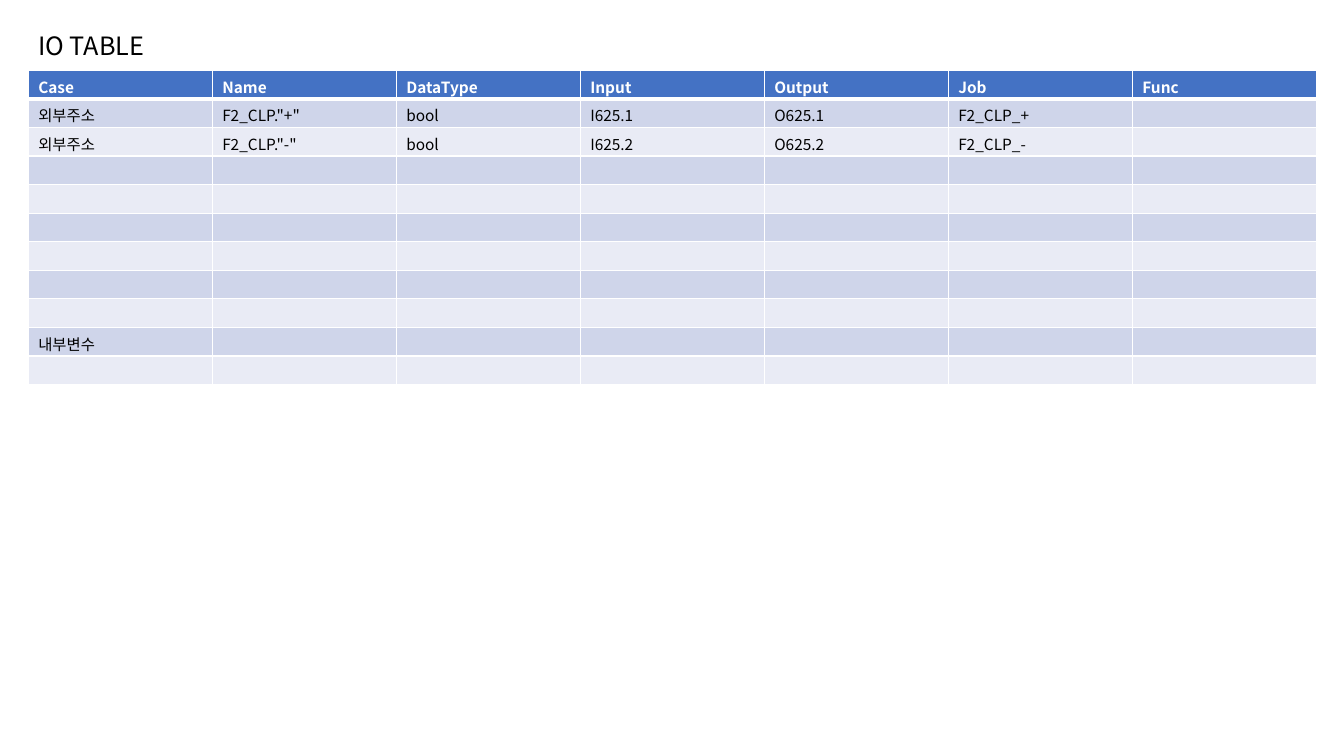
from lxml import etree
from pptx import Presentation
from pptx.dml.color import RGBColor
from pptx.enum.text import MSO_ANCHOR, MSO_AUTO_SIZE, PP_ALIGN
from pptx.oxml.ns import qn
from pptx.util import Cm, Pt

TOP, LEFT = MSO_ANCHOR.TOP, PP_ALIGN.LEFT
NO_AUTOFIT = MSO_AUTO_SIZE.NONE

# Content
TITLE = "IO TABLE"
HEADERS = ["Case", "Name", "DataType", "Input", "Output", "Job", "Func"]
ROWS = [
    ["외부주소", 'F2_CLP."+"', "bool", "I625.1", "O625.1", "F2_CLP_+"],
    ["외부주소", 'F2_CLP."-"', "bool", "I625.2", "O625.2", "F2_CLP_-"],
    [], [], [], [], [], [],
    ["내부변수"],
    [],
]

THEME = {
    "font": "Noto Sans CJK KR",
    "title_size": Pt(18),
    "cell_size": Pt(11),
    "text": RGBColor(0x00, 0x00, 0x00),
    "header_text": RGBColor(0xFF, 0xFF, 0xFF),
    "header_fill": RGBColor(0x44, 0x72, 0xC4),
    "bands": [RGBColor(0xCF, 0xD5, 0xEA), RGBColor(0xE9, 0xEB, 0xF5)],
    "border": "FFFFFF",
    "border_width": Pt(1),
    "header_rule": Pt(3),
}

# Layout
MARGIN = Cm(0.71)
TITLE_BOX = {"left": MARGIN, "top": Cm(0.71), "width": Cm(3.53), "height": Cm(1.07)}
TABLE_TOP, TABLE_WIDTH, ROW_HEIGHT = Cm(1.77), Cm(32.46), Cm(0.72)


def set_attributes(target, values):
    for name, value in values.items():
        setattr(target, name, value)


def write(paragraph, text, size, color, bold=False):
    """Write one run; an empty paragraph still keeps the type size."""
    if not text:
        end = etree.SubElement(paragraph._p, qn("a:endParaRPr"))
        end.set("sz", str(int(size.pt * 100)))
        return
    run = paragraph.add_run()
    run.text = text
    set_attributes(run.font, {"name": THEME["font"], "size": size, "bold": bold})
    run.font.color.rgb = color
    east_asian = etree.SubElement(run._r.get_or_add_rPr(), qn("a:ea"))
    east_asian.set("typeface", THEME["font"])


def add_borders(cell, widths):
    properties = cell._tc.get_or_add_tcPr()
    for position, (side, width) in enumerate(widths.items()):
        line = etree.Element(qn(f"a:ln{side}"), w=str(int(width)))
        fill = etree.SubElement(line, qn("a:solidFill"))
        etree.SubElement(fill, qn("a:srgbClr"), val=THEME["border"])
        properties.insert(position, line)


def add_title(slide):
    title = slide.shapes.title
    set_attributes(title, TITLE_BOX)
    set_attributes(title.text_frame, {
        "word_wrap": False, "auto_size": NO_AUTOFIT, "vertical_anchor": TOP})
    paragraph = title.text_frame.paragraphs[0]
    set_attributes(paragraph, {"alignment": LEFT, "line_spacing": 0.9})
    write(paragraph, TITLE, THEME["title_size"], THEME["text"])


def add_io_table(slide):
    row_count, column_count = len(ROWS) + 1, len(HEADERS)
    table = slide.shapes.add_table(
        row_count, column_count, MARGIN, TABLE_TOP,
        TABLE_WIDTH, ROW_HEIGHT * row_count).table

    for row_index, values in enumerate([HEADERS] + ROWS):
        table.rows[row_index].height = ROW_HEIGHT
        is_header = row_index == 0
        fill = THEME["header_fill"] if is_header else THEME["bands"][(row_index - 1) % 2]
        color = THEME["header_text"] if is_header else THEME["text"]
        widths = dict.fromkeys("LRTB", THEME["border_width"])
        if is_header:
            widths["B"] = THEME["header_rule"]
        elif row_index == 1:
            widths["T"] = THEME["header_rule"]

        padded = values + [""] * (column_count - len(values))
        for column_index, text in enumerate(padded):
            cell = table.cell(row_index, column_index)
            set_attributes(cell, {"vertical_anchor": TOP, "margin_bottom": 0})
            cell.fill.solid()
            cell.fill.fore_color.rgb = fill
            add_borders(cell, widths)
            write(cell.text_frame.paragraphs[0], text, THEME["cell_size"], color, is_header)


def main():
    presentation = Presentation()
    set_attributes(presentation, {"slide_width": Cm(33.87), "slide_height": Cm(19.05)})
    title_only = presentation.slide_layouts[5]
    slide = presentation.slides.add_slide(title_only)
    add_title(slide)
    add_io_table(slide)
    presentation.save("out.pptx")


if __name__ == "__main__":
    main()
